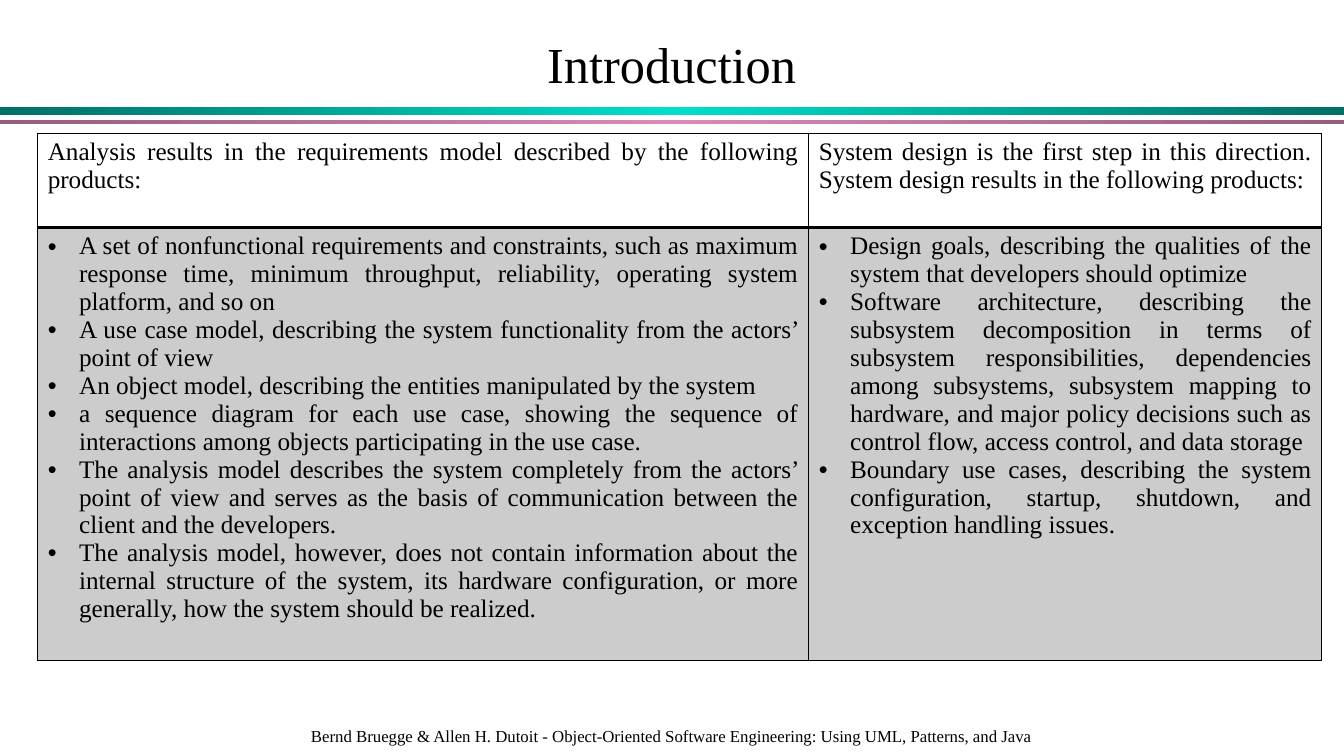
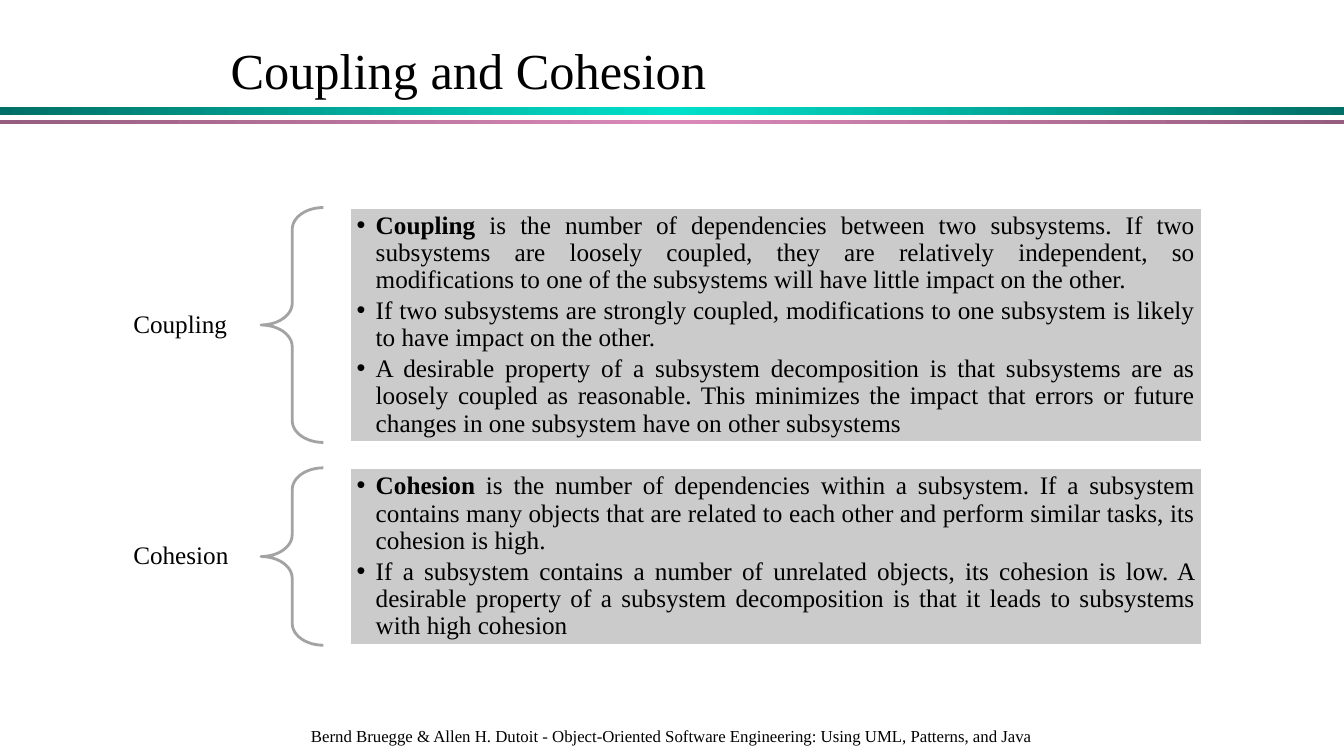
from copy import deepcopy
from dataclasses import dataclass
from typing import Optional

from lxml.etree import SubElement
from pptx import Presentation
from pptx.dml.color import RGBColor
from pptx.enum.shapes import MSO_SHAPE as Preset
from pptx.enum.text import MSO_ANCHOR as Anchor, PP_ALIGN as Align
from pptx.oxml import parse_xml
from pptx.oxml.ns import nsdecls, qn
from pptx.slide import Slide
from pptx.table import _Cell as Cell
from pptx.text.text import TextFrame
from pptx.util import Cm, Pt


@dataclass(frozen=True)
class Theme:
    font: str = "Times New Roman"
    ink: str = "000000"
    paper: str = "FFFFFF"
    cell_gray: str = "CCCCCC"
    panel_gray: str = "CBCBCB"
    brace_gray: str = "A3A3A3"
    title_size: float = 36
    body_size: float = 18
    footer_size: float = 12


@dataclass(frozen=True)
class Band:
    top: float
    height: float
    edge: str
    middle: str


@dataclass(frozen=True)
class Box:
    left: float
    top: float
    width: float
    height: float

    def lengths(self) -> tuple[Cm, Cm, Cm, Cm]:
        return Cm(self.left), Cm(self.top), Cm(self.width), Cm(self.height)


@dataclass(frozen=True)
class Run:
    text: str
    bold: bool = False


@dataclass(frozen=True)
class Style:
    size: float
    align: Align = Align.JUSTIFY
    line_spacing: float = 1.0
    space_after: float = 0
    bullet_indent: Optional[float] = None


@dataclass(frozen=True)
class Concept:
    name: str
    height: float
    points: list[list[Run]]


THEME = Theme()
SLIDE_WIDTH, SLIDE_HEIGHT = 33.87, 19.05
BANDS = [
    Band(2.7, 0.2, "007066", "00DFCA"),
    Band(3.03, 0.1, "955E7E", "D989B8"),
]
FOOTER = (
    "Bernd Bruegge & Allen H. Dutoit - Object-Oriented Software Engineering: "
    "Using UML, Patterns, and Java"
)
FOOTER_BOX = Box(3, 18.12, 27.86, 0.86)
TITLE_INSETS = (0.25, 0.13)

HEADER_STYLE = Style(THEME.body_size)
CELL_STYLE = Style(THEME.body_size, bullet_indent=0.79)
LABEL_STYLE = Style(THEME.body_size, line_spacing=0.9)
PANEL_STYLE = Style(THEME.body_size, line_spacing=0.9, space_after=2.7, bullet_indent=0.48)

PRODUCT_COLUMNS = [19.43, 12.93]
PRODUCT_ROWS = [2.37, 10.82]
PRODUCT_HEADERS = [
    "Analysis results in the requirements model described by the following products:",
    "System design is the first step in this direction. "
    "System design results in the following products:",
]
PRODUCT_LISTS = [
    [
        "A set of nonfunctional requirements and constraints, such as maximum response time, "
        "minimum throughput, reliability, operating system platform, and so on",
        "A use case model, describing the system functionality from the actors’ point of view",
        "An object model, describing the entities manipulated by the system",
        "a sequence diagram for each use case, showing the sequence of interactions among "
        "objects participating in the use case.",
        "The analysis model describes the system completely from the actors’ point of view "
        "and serves as the basis of communication between the client and the developers.",
        "The analysis model, however, does not contain information about the internal "
        "structure of the system, its hardware configuration, or more generally, how the "
        "system should be realized.",
    ],
    [
        "Design goals, describing the qualities of the system that developers should optimize",
        "Software architecture, describing the subsystem decomposition in terms of subsystem "
        "responsibilities, dependencies among subsystems, subsystem mapping to hardware, and "
        "major policy decisions such as control flow, access control, and data storage",
        "Boundary use cases, describing the system configuration, startup, shutdown, and "
        "exception handling issues.",
    ],
]

CONCEPTS = [
    Concept("Coupling", 5.92, [
        [
            Run("Coupling ", True),
            Run("is the number of dependencies between two subsystems. If two subsystems are "
                "loosely coupled, they are relatively independent, so modifications to one of "
                "the subsystems will have little impact on the other."),
        ],
        [Run("If two subsystems are strongly coupled, modifications to one subsystem is likely "
             "to have impact on the other.")],
        [Run("A desirable property of a subsystem decomposition is that subsystems are as "
             "loosely coupled as reasonable. This minimizes the impact that errors or future "
             "changes in one subsystem have on other subsystems")],
    ]),
    Concept("Cohesion", 4.47, [
        [
            Run("Cohesion ", True),
            Run("is the number of dependencies within a subsystem. If a subsystem contains many "
                "objects that are related to each other and perform similar tasks, its cohesion "
                "is high."),
        ],
        [Run("If a subsystem contains a number of unrelated objects, its cohesion is low. A "
             "desirable property of a subsystem decomposition is that it leads to subsystems "
             "with high cohesion")],
    ]),
]
CONCEPTS_TOP, CONCEPT_GAP = 5.23, 0.64
LABEL_SIDE = 3.58


def color(code: str) -> RGBColor:
    return RGBColor.from_string(code)


def write(frame: TextFrame, paragraphs: list[list[Run]], style: Style) -> None:
    for index, runs in enumerate(paragraphs):
        paragraph = frame.add_paragraph() if index else frame.paragraphs[0]
        if style.bullet_indent is not None:
            properties = paragraph._p.get_or_add_pPr()
            indent = Cm(style.bullet_indent)
            properties.set("marL", str(indent))
            properties.set("indent", str(-indent))
            SubElement(properties, qn("a:buFont"), typeface="Arial")
            SubElement(properties, qn("a:buChar"), char="•")
        paragraph.alignment = style.align
        paragraph.line_spacing = style.line_spacing
        paragraph.space_after = Pt(style.space_after)
        for part in runs:
            run = paragraph.add_run()
            run.text = part.text
            run.font.name = THEME.font
            run.font.size = Pt(style.size)
            run.font.bold = part.bold
            run.font.color.rgb = color(THEME.ink)


def set_frame(frame: TextFrame, anchor: Anchor, insets: tuple[float, float],
              wrap: bool = True) -> None:
    frame.word_wrap = wrap
    frame.vertical_anchor = anchor
    frame.margin_left = frame.margin_right = Cm(insets[0])
    frame.margin_top = frame.margin_bottom = Cm(insets[1])


def add_text(slide: Slide, box: Box, text: str, style: Style, anchor: Anchor = Anchor.MIDDLE,
             insets: tuple[float, float] = TITLE_INSETS, wrap: bool = True) -> None:
    frame = slide.shapes.add_textbox(*box.lengths()).text_frame
    set_frame(frame, anchor, insets, wrap)
    write(frame, [[Run(text)]], style)


def add_band(slide: Slide, band: Band) -> None:
    stripe = slide.shapes.add_shape(
        Preset.RECTANGLE, *Box(0, band.top, SLIDE_WIDTH, band.height).lengths())
    stripe.shadow.inherit = False
    stripe.line.fill.background()
    stripe.fill.gradient()
    stripe.fill.gradient_angle = 0
    stops = stripe._element.spPr.find(qn("a:gradFill")).find(qn("a:gsLst"))
    stops.append(deepcopy(stops[-1]))
    looks = zip(stripe.fill.gradient_stops, (0, 0.5, 1), (band.edge, band.middle, band.edge))
    for stop, position, code in looks:
        stop.position = position
        stop.color.rgb = color(code)


def add_frame_slide(deck: Presentation, title: str, title_box: Box, title_style: Style,
                    title_anchor: Anchor) -> Slide:
    slide = deck.slides.add_slide(deck.slide_layouts[6])
    for band in BANDS:
        add_band(slide, band)
    add_text(slide, title_box, title, title_style, title_anchor)
    add_text(slide, FOOTER_BOX, FOOTER, Style(THEME.footer_size, Align.CENTER), wrap=False)
    return slide


def set_borders(cell: Cell, widths: dict[str, float]) -> None:
    properties = cell._tc.get_or_add_tcPr()
    for index, (side, width) in enumerate(widths.items()):
        properties.insert(index, parse_xml(
            f'<a:ln{side} {nsdecls("a")} w="{Pt(width)}"><a:solidFill>'
            f'<a:srgbClr val="{THEME.ink}"/></a:solidFill></a:ln{side}>'))


def add_products(slide: Slide) -> None:
    box = Box(0.95, 3.36, sum(PRODUCT_COLUMNS), sum(PRODUCT_ROWS))
    table = slide.shapes.add_table(
        len(PRODUCT_ROWS), len(PRODUCT_COLUMNS), *box.lengths()).table
    table.first_row = table.horz_banding = False
    for row, height in zip(table.rows, PRODUCT_ROWS):
        row.height = Cm(height)
    for index, width in enumerate(PRODUCT_COLUMNS):
        table.columns[index].width = Cm(width)
        header, products = table.cell(0, index), table.cell(1, index)
        header.fill.background()
        products.fill.solid()
        products.fill.fore_color.rgb = color(THEME.cell_gray)
        set_borders(header, {"L": 1, "R": 1, "T": 1, "B": 2})
        set_borders(products, {"L": 1, "R": 1, "T": 2, "B": 1})
        write(header.text_frame, [[Run(PRODUCT_HEADERS[index])]], HEADER_STYLE)
        write(products.text_frame, [[Run(text)] for text in PRODUCT_LISTS[index]], CELL_STYLE)


def add_concept(slide: Slide, concept: Concept, top: float) -> None:
    label_top = top + (concept.height - LABEL_SIDE) / 2
    add_text(slide, Box(3, label_top, LABEL_SIDE, LABEL_SIDE), concept.name, LABEL_STYLE,
             insets=(0.36, 0.13))

    brace = slide.shapes.add_shape(
        Preset.LEFT_BRACE, *Box(6.58, top, 1.57, concept.height).lengths())
    brace.shadow.inherit = False
    brace.adjustments[0] = 0.35
    brace.adjustments[1] = 0.5
    brace.fill.background()
    brace.line.color.rgb = color(THEME.brace_gray)
    brace.line.width = Pt(2)

    panel = slide.shapes.add_shape(
        Preset.RECTANGLE, *Box(8.81, top, 21.49, concept.height).lengths())
    panel.shadow.inherit = False
    panel.fill.solid()
    panel.fill.fore_color.rgb = color(THEME.panel_gray)
    panel.line.color.rgb = color(THEME.paper)
    panel.line.width = Pt(2)
    set_frame(panel.text_frame, Anchor.MIDDLE, (0.18, 0.18))
    write(panel.text_frame, concept.points, PANEL_STYLE)


def main() -> None:
    deck = Presentation()
    deck.slide_width, deck.slide_height = Cm(SLIDE_WIDTH), Cm(SLIDE_HEIGHT)

    introduction = add_frame_slide(
        deck, "Introduction", Box(0.56, 0.84, 32.74, 1.7),
        Style(THEME.title_size, Align.CENTER, 0.9), Anchor.MIDDLE)
    add_products(introduction)

    cohesion = add_frame_slide(
        deck, "Coupling and Cohesion", Box(5.56, 0.86, 16.94, 1.8),
        Style(THEME.title_size, Align.LEFT), Anchor.TOP)
    top = CONCEPTS_TOP
    for concept in CONCEPTS:
        add_concept(cohesion, concept, top)
        top += concept.height + CONCEPT_GAP

    deck.save("out.pptx")


if __name__ == "__main__":
    main()
